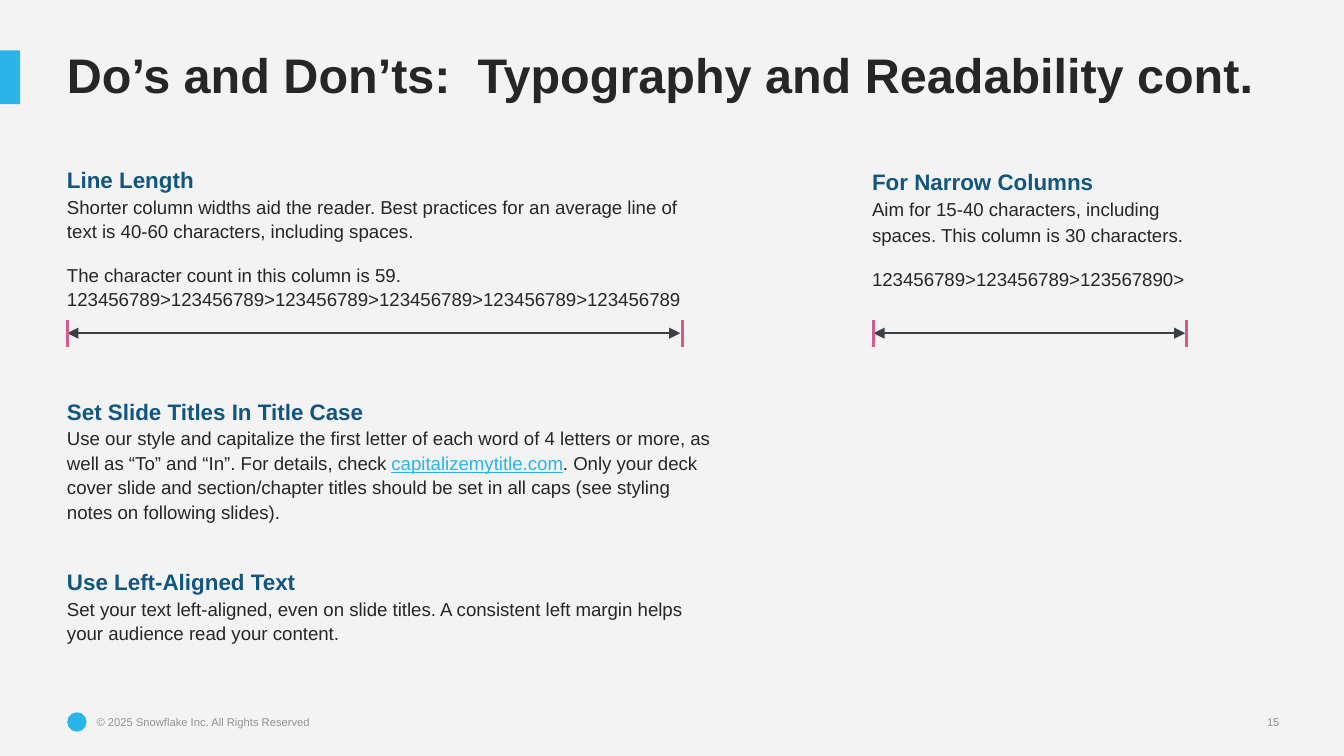
from lxml.etree import SubElement
from pptx import Presentation
from pptx.dml.color import RGBColor
from pptx.enum.shapes import MSO_CONNECTOR, MSO_SHAPE
from pptx.enum.text import MSO_ANCHOR, PP_ALIGN
from pptx.oxml.ns import qn
from pptx.util import Pt

COLORS = {
    "background": "F3F3F3",
    "accent": "29B5E8",
    "heading": "11567F",
    "text": "262626",
    "footer": "929292",
    "arrow": "3C4043",
    "tick": "D45B90",
}


def color(name):
    return RGBColor.from_string(COLORS[name])


def add_text(frame, text, size=10, fill="text", bold=False, before=0,
             spacing=1.0, align=PP_ALIGN.LEFT, link=""):
    """Add one paragraph; the part of text equal to link is underlined."""
    paragraph = frame.paragraphs[0]
    if paragraph.runs:
        paragraph = frame.add_paragraph()
    paragraph.alignment = align
    paragraph.line_spacing = spacing
    paragraph.space_before = Pt(before)
    for part in text.partition(link) if link else [text]:
        run = paragraph.add_run()
        run.text = part
        run.font.name = "Arial"
        run.font.size = Pt(size)
        run.font.bold = bold
        run.font.underline = bool(link) and part == link
        run.font.color.rgb = color("accent" if run.font.underline else fill)


presentation = Presentation()
presentation.slide_width = Pt(720)
presentation.slide_height = Pt(405)
slide = presentation.slides.add_slide(presentation.slide_layouts[6])
slide.background.fill.solid()
slide.background.fill.fore_color.rgb = color("background")

# Title marker and footer mark
for kind, left, top, width, height in [
    (MSO_SHAPE.RECTANGLE, 0, 27, 10.8, 28.8),
    (MSO_SHAPE.OVAL, 36, 381.6, 10.4, 10.4),
]:
    shape = slide.shapes.add_shape(kind, Pt(left), Pt(top), Pt(width), Pt(height))
    shape.shadow.inherit = False
    shape.fill.solid()
    shape.fill.fore_color.rgb = color("accent")
    shape.line.fill.background()

# Text boxes: left, top, width, height, margin
frames = {}
for name, left, top, width, height, margin in [
    ("title", 28.8, 21.6, 657.4, 28.8, 7.2),
    ("main", 28.8, 80.6, 359.3, 278, 7.2),
    ("narrow", 460.1, 80.6, 193, 163.4, 7.2),
    ("copyright", 51.8, 383, 132.5, 7.2, 0),
    ("number", 648, 383, 37.4, 7.2, 0),
]:
    box = slide.shapes.add_textbox(Pt(left), Pt(top), Pt(width), Pt(height))
    frame = frames[name] = box.text_frame
    frame.word_wrap = True
    frame.margin_left = frame.margin_right = Pt(margin)
    frame.margin_top = frame.margin_bottom = Pt(margin)
frames["number"].vertical_anchor = MSO_ANCHOR.BOTTOM

add_text(frames["title"], "Do’s and Don’ts:  Typography and Readability cont.",
         size=26, bold=True, spacing=0.85)
add_text(frames["copyright"], "© 2025 Snowflake Inc. All Rights Reserved", size=6, fill="footer")
add_text(frames["number"], "15", size=6, fill="footer", align=PP_ALIGN.RIGHT)

# Sections: frame, line spacing, space before, heading, body paragraphs
link = "capitalizemytitle.com"
sections = [
    ("main", 1.1, 0, "Line Length", [
        (0, "Shorter column widths aid the reader. Best practices for an average "
            "line of text is 40-60 characters, including spaces."),
        (10, "The character count in this column is 59."),
        (0, "123456789>123456789>123456789>123456789>123456789>123456789"),
    ]),
    ("main", 1.1, 45.3, "Set Slide Titles In Title Case", [
        (0, "Use our style and capitalize the first letter of each word of 4 letters "
            f"or more, as well as “To” and “In”. For details, check {link}. Only "
            "your deck cover slide and section/chapter titles should be set in all "
            "caps (see styling notes on following slides)."),
    ]),
    ("main", 1.1, 22.7, "Use Left-Aligned Text", [
        (0, "Set your text left-aligned, even on slide titles. A consistent left "
            "margin helps your audience read your content."),
    ]),
    ("narrow", 1.15, 0, "For Narrow Columns", [
        (0, "Aim for 15-40 characters, including spaces. This column is 30 characters."),
        (10, "123456789>123456789>123567890>"),
    ]),
]
for name, spacing, before, heading, body in sections:
    add_text(frames[name], heading, size=12, fill="heading", bold=True,
             before=before, spacing=spacing)
    for gap, text in body:
        add_text(frames[name], text, before=gap, spacing=spacing,
                 link=link if link in text else "")

# Column width markers: a double arrow between two ticks
middle, half_tick = 178.5, 7.2
for left, arrow_right, tick_right in [(36, 364.5, 365.8), (468, 635, 635.8)]:
    for start, end, half_height, name, weight in [
        (left, arrow_right, 0, "arrow", 0.75),
        (left, left, half_tick, "tick", 1.5),
        (tick_right, tick_right, half_tick, "tick", 1.5),
    ]:
        connector = slide.shapes.add_connector(
            MSO_CONNECTOR.STRAIGHT, Pt(start), Pt(middle - half_height),
            Pt(end), Pt(middle + half_height))
        connector.line.color.rgb = color(name)
        connector.line.width = Pt(weight)
        if name == "arrow":
            line = connector.line._get_or_add_ln()
            for tag in ("a:headEnd", "a:tailEnd"):
                SubElement(line, qn(tag), type="triangle")
        SubElement(connector._element.spPr, qn("a:effectLst"))

presentation.save("out.pptx")
